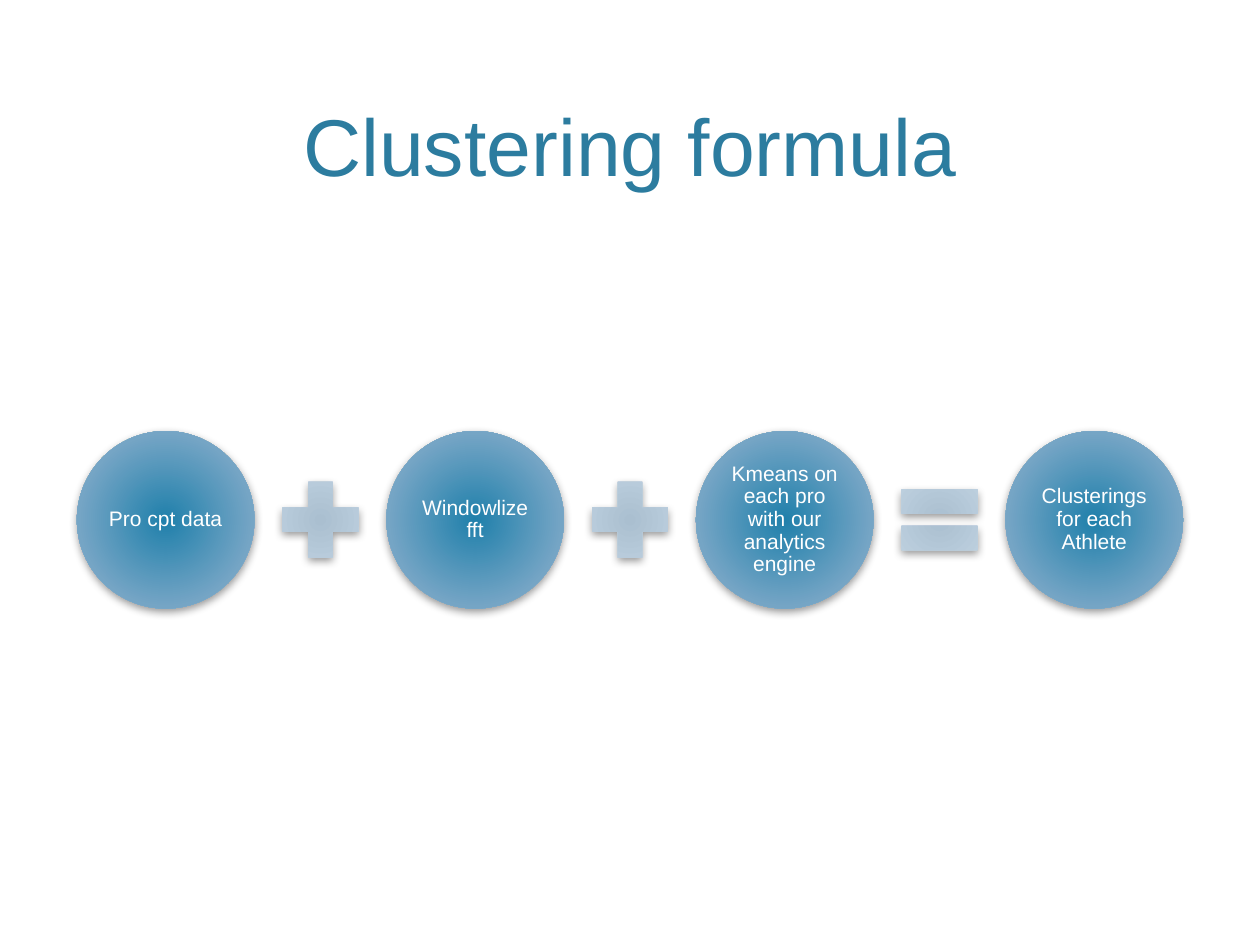
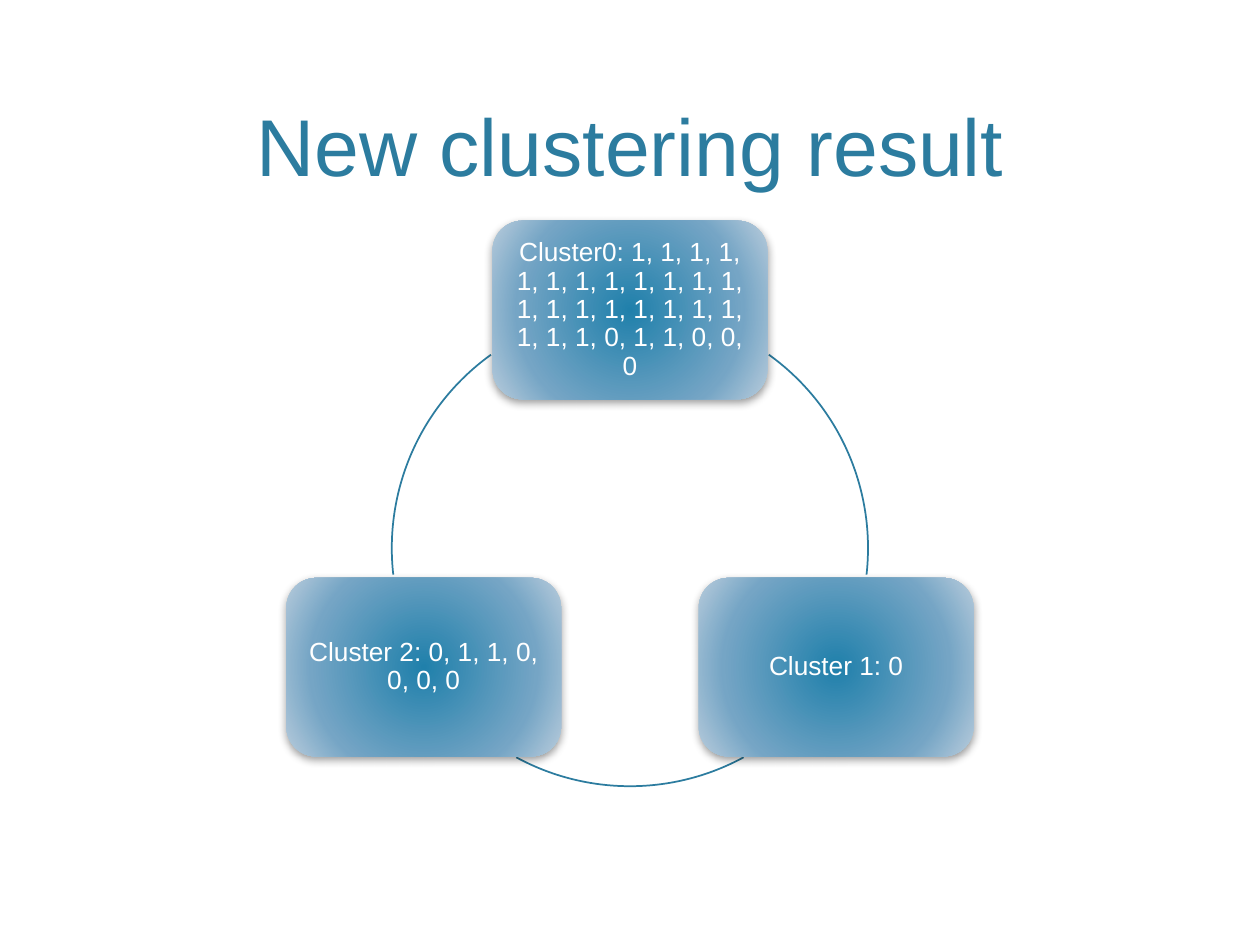
from math import cos, radians, sin

from pptx import Presentation
from pptx.dml.color import RGBColor
from pptx.enum.shapes import MSO_SHAPE
from pptx.enum.text import MSO_ANCHOR, PP_ALIGN
from pptx.oxml import parse_xml
from pptx.oxml.ns import nsdecls
from pptx.util import Cm, Pt

FONT = "Arial"
ACCENT = "2C7C9F"
WHITE = "FFFFFF"
NODE_GLOW = [(0, "2080AB"), (69, "75A5C5"), (100, "B8CCDC")]
SIGN_GLOW = [(0, "AABFD0"), (69, "BCCFDE"), (100, "D8E2EB")]
MID_X = 12.7


def rgb(value):
    """Turn a hex string into a colour."""
    return RGBColor.from_string(value)


def set_text(shape, text, size, color, anchor):
    """Write one centred paragraph into a shape."""
    tf = shape.text_frame
    tf.word_wrap = True
    tf.vertical_anchor = anchor
    p = tf.paragraphs[0]
    p.text = text
    p.alignment = PP_ALIGN.CENTER
    p.font.name = FONT
    p.font.size = Pt(size)
    p.font.color.rgb = rgb(color)
    return tf


def add_title_slide(prs, title):
    """Add a blank slide with the shared title."""
    s = prs.slides.add_slide(prs.slide_layouts[6])
    box = s.shapes.add_textbox(Cm(1.52), Cm(0.3), Cm(22.35), Cm(3.71))
    set_text(box, title, 46, ACCENT, MSO_ANCHOR.BOTTOM)
    return s


def add_glow_shape(s, kind, cx, cy, width, height, stops):
    """Add a shape around a centre with a radial gradient and a soft shadow."""
    sp = s.shapes.add_shape(kind, Cm(cx - width / 2), Cm(cy - height / 2),
                            Cm(width), Cm(height))
    sp.line.fill.background()
    sp.fill.background()
    sp.shadow.inherit = False
    props = sp._element.spPr
    marks = "".join(f'<a:gs pos="{pos * 1000}"><a:srgbClr val="{color}"/></a:gs>'
                    for pos, color in stops)
    gradient = parse_xml(
        f'<a:gradFill {nsdecls("a")}><a:gsLst>{marks}</a:gsLst><a:path path="circle">'
        '<a:fillToRect l="100000" t="100000" r="100000" b="100000"/>'
        '</a:path></a:gradFill>')
    props.replace(props.find("{*}noFill"), gradient)
    props.find("{*}effectLst").append(parse_xml(
        f'<a:outerShdw {nsdecls("a")} blurRad="{Pt(5)}" dist="{Pt(2)}" dir="5400000" '
        'rotWithShape="0"><a:srgbClr val="000000"><a:alpha val="40000"/>'
        '</a:srgbClr></a:outerShdw>'))
    return sp


def add_node(s, kind, cx, cy, width, height, text, size, inset):
    """Add a glowing shape that holds white text."""
    sp = add_glow_shape(s, kind, cx, cy, width, height, NODE_GLOW)
    tf = set_text(sp, text, size, WHITE, MSO_ANCHOR.MIDDLE)
    tf.margin_left = tf.margin_right = tf.margin_top = tf.margin_bottom = Cm(inset)
    tf.paragraphs[0].line_spacing = 0.9


def add_arc(s, cx, cy, radius, start, end):
    """Add a thin arc of a circle between two angles in degrees."""
    sp = s.shapes.add_shape(MSO_SHAPE.ARC, Cm(cx - radius), Cm(cy - radius),
                            Cm(2 * radius), Cm(2 * radius))
    sp.adjustments[0] = start * 0.6
    sp.adjustments[1] = end * 0.6
    sp.fill.background()
    sp.line.color.rgb = rgb(ACCENT)
    sp.line.width = Pt(1)
    sp.shadow.inherit = False


def add_formula(s, terms, signs):
    """Lay out terms in circles with a sign halfway between neighbours."""
    cy, pitch, term_size, sign_size = 10.48, 6.24, 3.58, 2.08
    first = MID_X - pitch * (len(terms) - 1) / 2
    for i, term in enumerate(terms):
        add_node(s, MSO_SHAPE.OVAL, first + i * pitch, cy, term_size, term_size,
                 term, 12, 0.05)
    for i, sign in enumerate(signs):
        add_glow_shape(s, sign, first + (i + 0.5) * pitch, cy, sign_size, sign_size,
                       SIGN_GLOW)


def add_cycle(s, clusters, arcs):
    """Spread clusters clockwise around a circle and join them with arcs."""
    cy, radius = 11.05, 4.8
    for start, end in arcs:
        add_arc(s, MID_X, cy, radius, start, end)
    for i, cluster in enumerate(clusters):
        angle = radians(-90 + i * 360 / len(clusters))
        add_node(s, MSO_SHAPE.ROUNDED_RECTANGLE, MID_X + radius * cos(angle),
                 cy + radius * sin(angle), 5.54, 3.6, cluster, 15, 0.15)


def main():
    """Build both slides and save them."""
    prs = Presentation()
    prs.slide_width, prs.slide_height = Cm(25.4), Cm(19.05)

    s = add_title_slide(prs, "Clustering formula")
    add_formula(s,
                ["Pro cpt data", "Windowlize fft",
                 "Kmeans on each pro with our analytics engine",
                 "Clusterings for each Athlete"],
                [MSO_SHAPE.MATH_PLUS, MSO_SHAPE.MATH_PLUS, MSO_SHAPE.MATH_EQUAL])

    s = add_title_slide(prs, "New clustering result")
    add_cycle(s,
              ["Cluster0: 1, 1, 1, 1, 1, 1, 1, 1, 1, 1, 1, 1, 1, 1, 1, 1, 1, 1, 1, 1, "
               "1, 1, 1, 0, 1, 1, 0, 0, 0",
               "Cluster 1: 0",
               "Cluster 2: 0, 1, 1, 0, 0, 0, 0"],
              [(305.7, 6.4), (61.5, 118.5), (173.6, 234.3)])

    prs.save("out.pptx")


if __name__ == "__main__":
    main()
